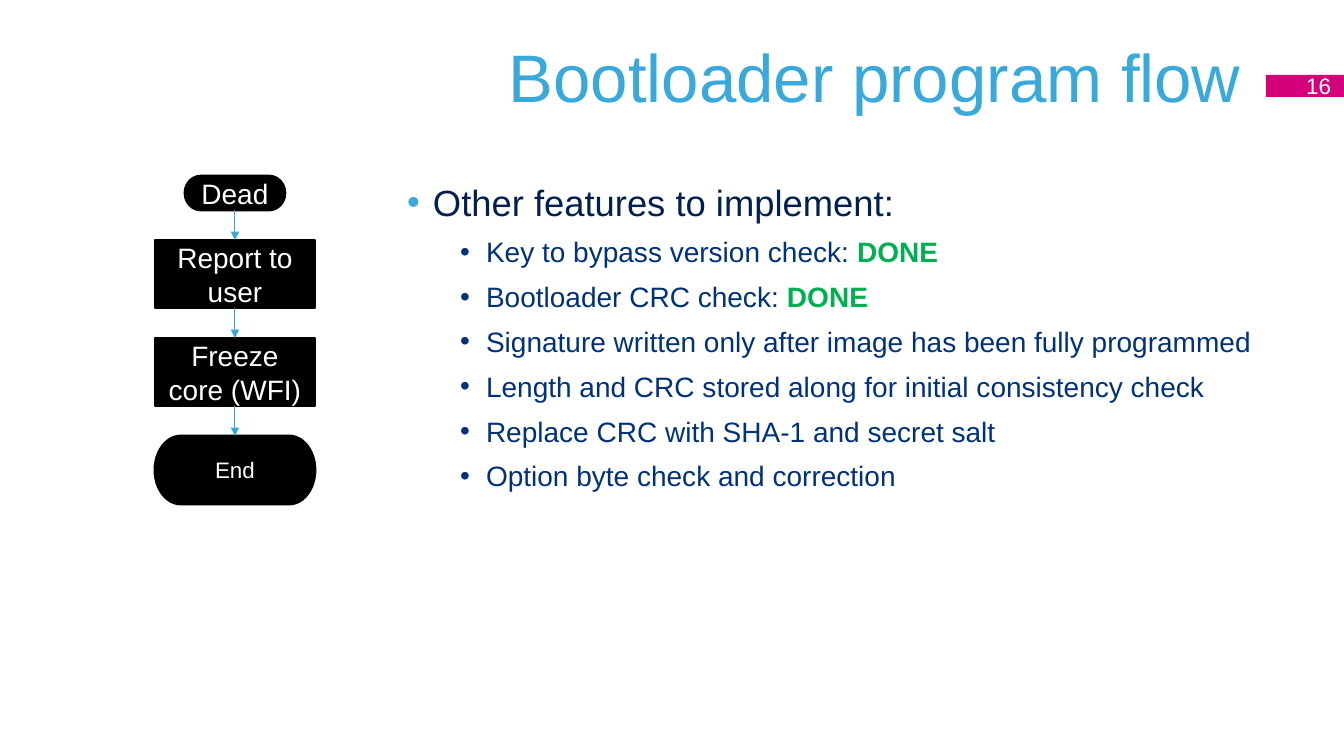
from lxml.etree import SubElement
from pptx import Presentation
from pptx.dml.color import RGBColor
from pptx.enum.shapes import MSO_CONNECTOR, MSO_SHAPE
from pptx.enum.text import MSO_ANCHOR, PP_ALIGN
from pptx.oxml.ns import qn
from pptx.util import Pt

PX = 914400 / 100.8
FONT = "Arial"
WHITE = RGBColor(0xFF, 0xFF, 0xFF)
BLACK = RGBColor(0x00, 0x00, 0x00)
SKY = RGBColor(0x39, 0xA9, 0xDC)
ARROW = RGBColor(0x34, 0xA7, 0xDB)
NAVY = RGBColor(0x00, 0x20, 0x52)
BLUE = RGBColor(0x00, 0x31, 0x7D)
GREEN = RGBColor(0x00, 0xB0, 0x50)
PINK = RGBColor(0xD4, 0x00, 0x7A)

TITLE = "Bootloader program flow"
PAGE = "16"
HEADING = "Other features to implement:"
FEATURES = [  # text, status
    ("Key to bypass version check: ", "DONE"),
    ("Bootloader CRC check: ", "DONE"),
    ("Signature written only after image has been fully programmed", ""),
    ("Length and CRC stored along for initial consistency check", ""),
    ("Replace CRC with SHA-1 and secret salt", ""),
    ("Option byte check and correction", ""),
]
TERMINATOR = MSO_SHAPE.FLOWCHART_TERMINATOR
PROCESS = MSO_SHAPE.FLOWCHART_PROCESS
STEPS = [  # text, preset, width, height, font size
    ("Dead", TERMINATOR, 100, 34, 20),
    ("Report to user", PROCESS, 160, 68, 20),
    ("Freeze core (WFI)", PROCESS, 160, 68, 20),
    ("End", TERMINATOR, 160, 68, 16),
]
FLOW_CENTER, FLOW_TOP, FLOW_GAP = 235, 176, 30


def px(*values):
    return [round(v * PX) for v in values]


def add_run(p, text, size, color, bold=False):
    r = p.add_run()
    r.text = text
    r.font.name = FONT
    r.font.size = Pt(size)
    r.font.bold = bold
    r.font.color.rgb = color


def set_insets(tf):
    tf.margin_left = tf.margin_right = px(13)[0]
    tf.margin_top = tf.margin_bottom = px(7)[0]


def add_text_box(s, *box):
    tf = s.shapes.add_textbox(*px(*box)).text_frame
    tf.word_wrap = True
    set_insets(tf)
    return tf


def add_block(s, preset, box, fill, text, size, align):
    """Add a filled shape with one line of white text."""
    sp = s.shapes.add_shape(preset, *px(*box))
    sp.shadow.inherit = False
    sp.fill.solid()
    sp.fill.fore_color.rgb = fill
    sp.line.fill.background()
    tf = sp.text_frame
    tf.word_wrap = True
    tf.vertical_anchor = MSO_ANCHOR.MIDDLE
    p = tf.paragraphs[0]
    p.alignment = align
    add_run(p, text, size, WHITE)
    return sp


def add_arrow(s, upper, lower):
    line = s.shapes.add_connector(MSO_CONNECTOR.STRAIGHT, 0, 0, 0, 0)
    line.begin_connect(upper, 2)
    line.end_connect(lower, 0)
    line.line.color.rgb = ARROW
    line.line.width = Pt(0.75)
    SubElement(line.line._get_or_add_ln(), qn("a:tailEnd"), type="triangle")
    SubElement(line._element.spPr, qn("a:effectLst"))


def set_bullet(p, indent, color):
    p.space_after = Pt(8)
    pPr = p._p.get_or_add_pPr()
    left, hang = px(indent, 26)
    pPr.set("marL", str(left))
    pPr.set("indent", str(-hang))
    clr = SubElement(pPr, qn("a:buClr"))
    SubElement(clr, qn("a:srgbClr"), val=str(color))
    SubElement(pPr, qn("a:buFont"), typeface=FONT)
    SubElement(pPr, qn("a:buChar"), char="•")


def add_features(s):
    tf = add_text_box(s, 394, 173, 882, 329)
    p = tf.paragraphs[0]
    p.space_before = Pt(24)
    set_bullet(p, 26, SKY)
    add_run(p, HEADING, 26, NAVY)
    for text, status in FEATURES:
        p = tf.add_paragraph()
        p.level = 1
        set_bullet(p, 79, BLUE)
        add_run(p, text, 20, BLUE)
        if status:
            add_run(p, status, 20, GREEN, bold=True)


def add_flow(s):
    top, previous = FLOW_TOP, None
    for text, preset, width, height, size in STEPS:
        box = (FLOW_CENTER - width / 2, top, width, height)
        step = add_block(s, preset, box, BLACK, text, size, PP_ALIGN.CENTER)
        step.line.color.rgb = BLACK
        step.line.width = Pt(2)
        if previous is not None:
            add_arrow(s, previous, step)
        previous = step
        top += height + FLOW_GAP


def main():
    prs = Presentation()
    prs.slide_width, prs.slide_height = px(1344, 756)
    s = prs.slides.add_slide(prs.slide_layouts[6])

    tf = add_text_box(s, 68, 13, 1186, 126)
    tf.vertical_anchor = MSO_ANCHOR.MIDDLE
    p = tf.paragraphs[0]
    p.alignment = PP_ALIGN.RIGHT
    add_run(p, TITLE, 48, SKY)

    add_features(s)
    badge = add_block(s, MSO_SHAPE.RECTANGLE, (1266, 75, 78, 22), PINK,
                      PAGE, 16, PP_ALIGN.RIGHT)
    badge.text_frame.word_wrap = False
    set_insets(badge.text_frame)
    add_flow(s)
    prs.save("out.pptx")


if __name__ == "__main__":
    main()
